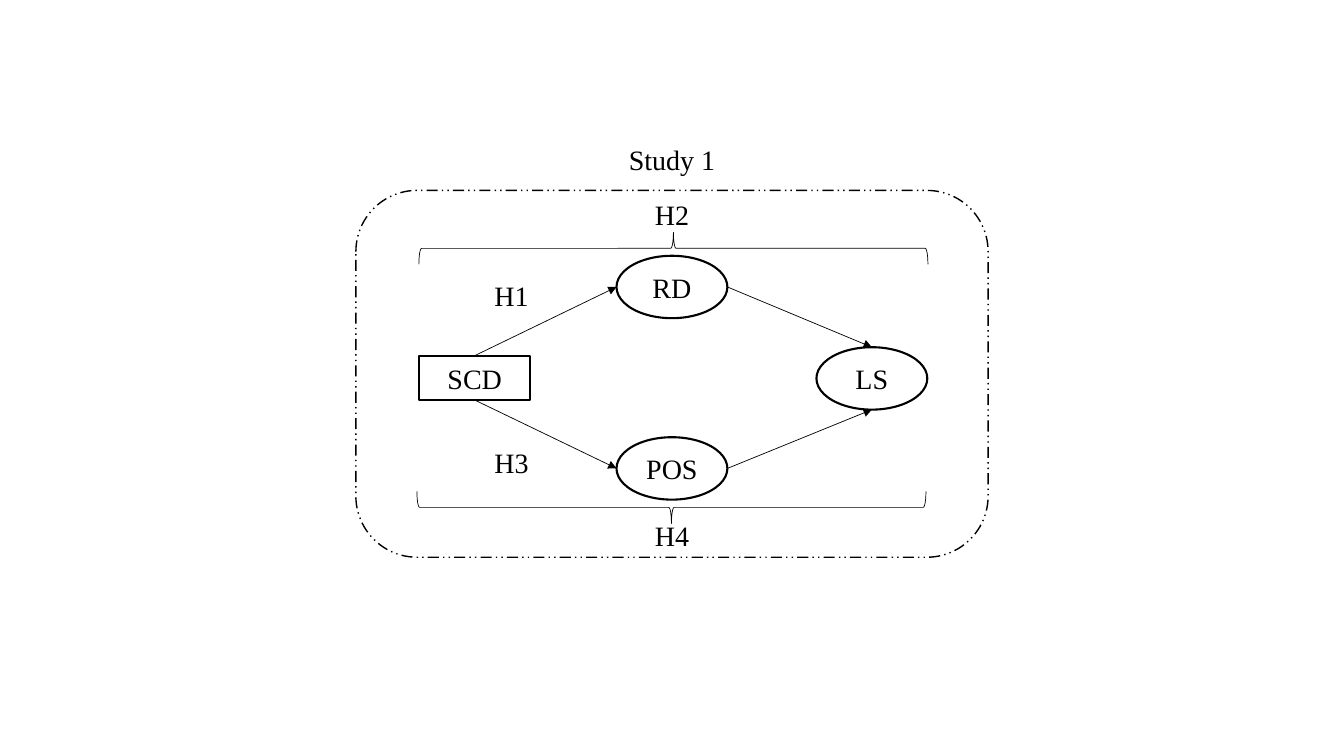
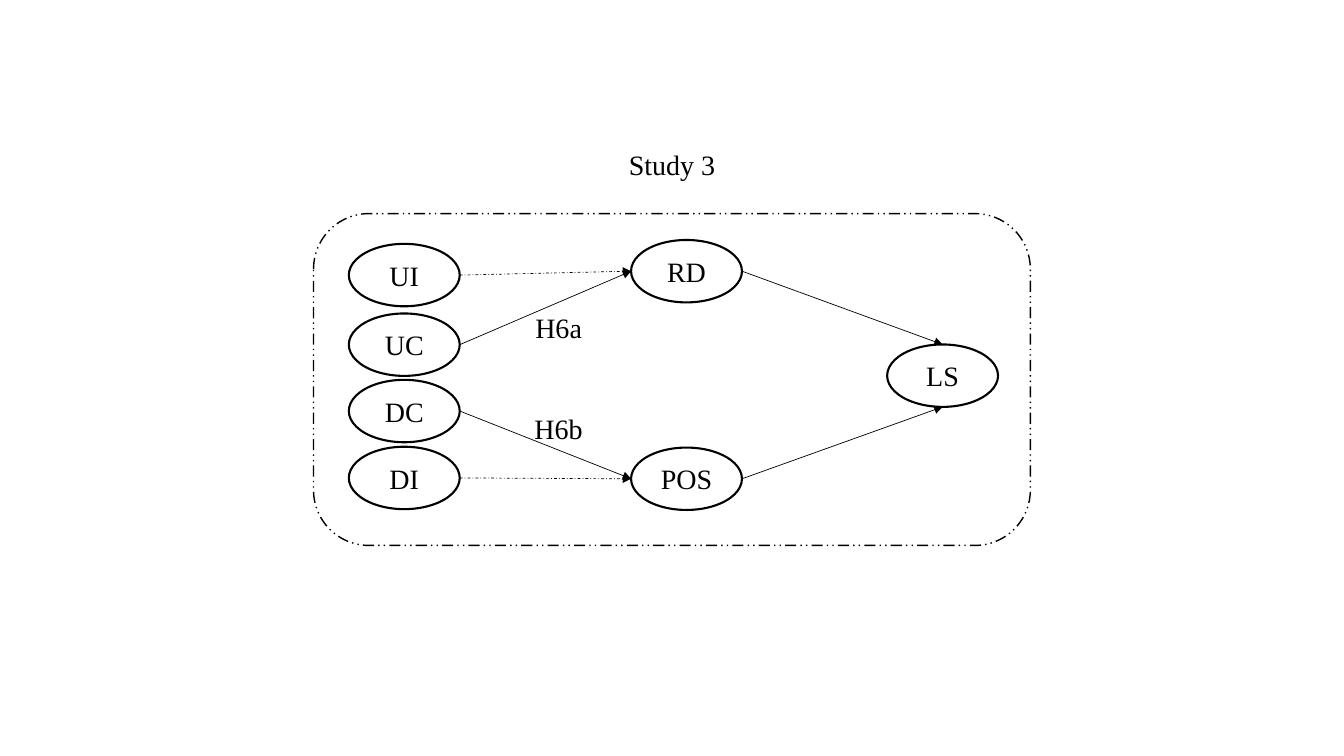
from dataclasses import dataclass

from lxml import etree
from pptx import Presentation
from pptx.dml.color import RGBColor
from pptx.enum.dml import MSO_LINE
from pptx.enum.shapes import MSO_CONNECTOR, MSO_SHAPE
from pptx.enum.text import MSO_ANCHOR, PP_ALIGN
from pptx.oxml.ns import qn
from pptx.util import Pt

RECTANGLE = MSO_SHAPE.RECTANGLE
ELLIPSE = MSO_SHAPE.OVAL
ROUNDED = MSO_SHAPE.ROUNDED_RECTANGLE
BRACE = MSO_SHAPE.LEFT_BRACE
STRAIGHT = MSO_CONNECTOR.STRAIGHT
FRAME_DASH = MSO_LINE.DASH_DOT_DOT
ARROW_DASH = MSO_LINE.DASH_DOT
CENTER = PP_ALIGN.CENTER
MIDDLE = MSO_ANCHOR.MIDDLE
POINTS_UP, POINTS_DOWN = 90, 270

# Direction from the middle of a node to each of its sides
SIDES = {"top": (0, -0.5), "bottom": (0, 0.5), "left": (-0.5, 0), "right": (0.5, 0)}


@dataclass(frozen=True)
class Theme:
    ink: RGBColor = RGBColor(0, 0, 0)
    font: str = "Times New Roman"
    text_size: float = 20
    node_line: float = 1.5
    frame_line: float = 1
    thin_line: float = 0.5
    node_width: float = 79.2
    ellipse_height: float = 44.6
    text_height: float = 31.7
    label_width: float = 60
    title_width: float = 90
    brace_depth: float = 23
    brace_length: float = 363.6


@dataclass(frozen=True)
class Box:
    left: float
    top: float
    width: float
    height: float

    def around(self, x, y, width, height):
        """Return a box whose middle lies at x, y inside this one."""
        return Box(self.left + x - width / 2, self.top + y - height / 2, width, height)

    def side(self, name):
        across, down = SIDES[name]
        return (self.left + self.width * (0.5 + across),
                self.top + self.height * (0.5 + down))

    def lengths(self):
        return [Pt(value) for value in (self.left, self.top, self.width, self.height)]


THEME = Theme()


def style_line(line, width, dash=None):
    line.color.rgb = THEME.ink
    line.width = Pt(width)
    if dash is not None:
        line.dash_style = dash


def write(shape, text):
    frame = shape.text_frame
    frame.text = text
    frame.word_wrap = True
    frame.vertical_anchor = MIDDLE
    frame.margin_left = frame.margin_right = 0
    frame.margin_top = frame.margin_bottom = 0
    para = frame.paragraphs[0]
    para.alignment = CENTER
    for span in para.runs:
        span.font.name = THEME.font
        span.font.size = Pt(THEME.text_size)
        span.font.color.rgb = THEME.ink


def add_outline(page, kind, box, width, dash=None):
    shape = page.shapes.add_shape(kind, *box.lengths())
    shape.shadow.inherit = False
    shape.fill.background()
    style_line(shape.line, width, dash)
    return shape


def add_label(page, box, text, x, y, width=THEME.label_width):
    place = box.around(x, y, width, THEME.text_height)
    write(page.shapes.add_textbox(*place.lengths()), text)


def add_node(page, box, text, x, y, kind=ELLIPSE):
    """Draw a named variable and return its box."""
    height = THEME.ellipse_height if kind == ELLIPSE else THEME.text_height
    place = box.around(x, y, THEME.node_width, height)
    write(add_outline(page, kind, place, THEME.node_line), text)
    return place


def add_brace(page, box, x, y, rotation):
    place = box.around(x, y, THEME.brace_depth, THEME.brace_length)
    add_outline(page, BRACE, place, THEME.thin_line).rotation = rotation


def add_arrow(page, start, end, dash=None):
    arrow = page.shapes.add_connector(STRAIGHT, *[Pt(value) for value in start + end])
    style_line(arrow.line, THEME.thin_line, dash)
    properties = arrow._element.spPr
    outline = properties.find(qn("a:ln"))
    etree.SubElement(outline, qn("a:tailEnd"), type="triangle")
    etree.SubElement(properties, qn("a:effectLst"))


def add_study_frame(page, box, title, title_y):
    add_label(page, box, title, box.width / 2, title_y, THEME.title_width)
    add_outline(page, ROUNDED, box, THEME.frame_line, FRAME_DASH)


def add_outcomes(page, box, middle_x, upper_y, lower_y, last_x):
    """Draw the two mediators and their paths to LS; return the mediators."""
    upper = add_node(page, box, "RD", middle_x, upper_y)
    lower = add_node(page, box, "POS", middle_x, lower_y)
    outcome = add_node(page, box, "LS", last_x, (upper_y + lower_y) / 2 + 0.5)
    add_arrow(page, upper.side("right"), outcome.side("top"))
    add_arrow(page, lower.side("right"), outcome.side("bottom"))
    return upper, lower


def add_study_one(page, box):
    add_study_frame(page, box, "Study 1", -22.3)
    center = box.width / 2
    upper, lower = add_outcomes(page, box, center, 69, 198.6, 368.6)
    source = add_node(page, box, "SCD", 84.9, 133.9, RECTANGLE)
    add_arrow(page, source.side("top"), upper.side("left"))
    add_arrow(page, source.side("bottom"), lower.side("left"))
    add_brace(page, box, center + 1, 41.4, POINTS_UP)
    add_brace(page, box, center - 0.4, 226.4, POINTS_DOWN)
    for text, x, y in (("H1", 111.2, 75), ("H2", center, 17.3),
                       ("H3", 111.2, 194.4), ("H4", center, 246.2)):
        add_label(page, box, text, x, y)


def add_study_three(page, box):
    add_study_frame(page, box, "Study 3", -35.2)
    upper, lower = add_outcomes(page, box, 266.4, 41.1, 189.4, 449.3)
    for text, y, target, dash in (("UI", 43.9, upper, ARROW_DASH),
                                  ("UC", 93.6, upper, None),
                                  ("DC", 141, lower, None),
                                  ("DI", 188.8, lower, ARROW_DASH)):
        source = add_node(page, box, text, 64.8, y)
        add_arrow(page, source.side("right"), target.side("left"), dash)
    for text, y in (("H6a", 81.4), ("H6b", 153.4)):
        add_label(page, box, text, 175, y)


def main():
    deck = Presentation()
    deck.slide_width, deck.slide_height = Pt(960), Pt(540)
    blank = deck.slide_layouts[6]
    for add_study, box in ((add_study_one, Box(254.2, 136, 451.6, 262)),
                           (add_study_three, Box(224, 152.6, 512, 237))):
        add_study(deck.slides.add_slide(blank), box)
    deck.save("out.pptx")


if __name__ == "__main__":
    main()
